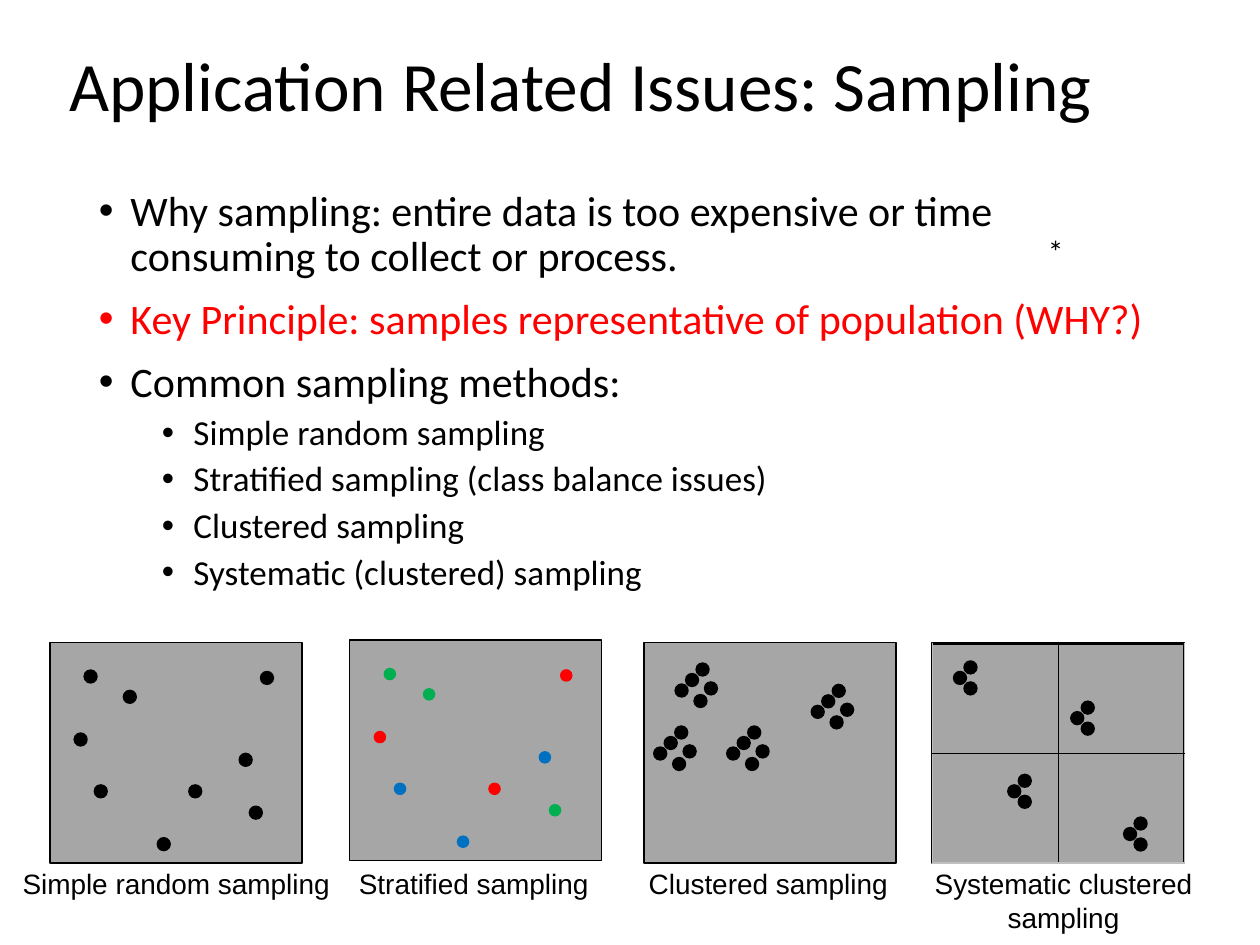
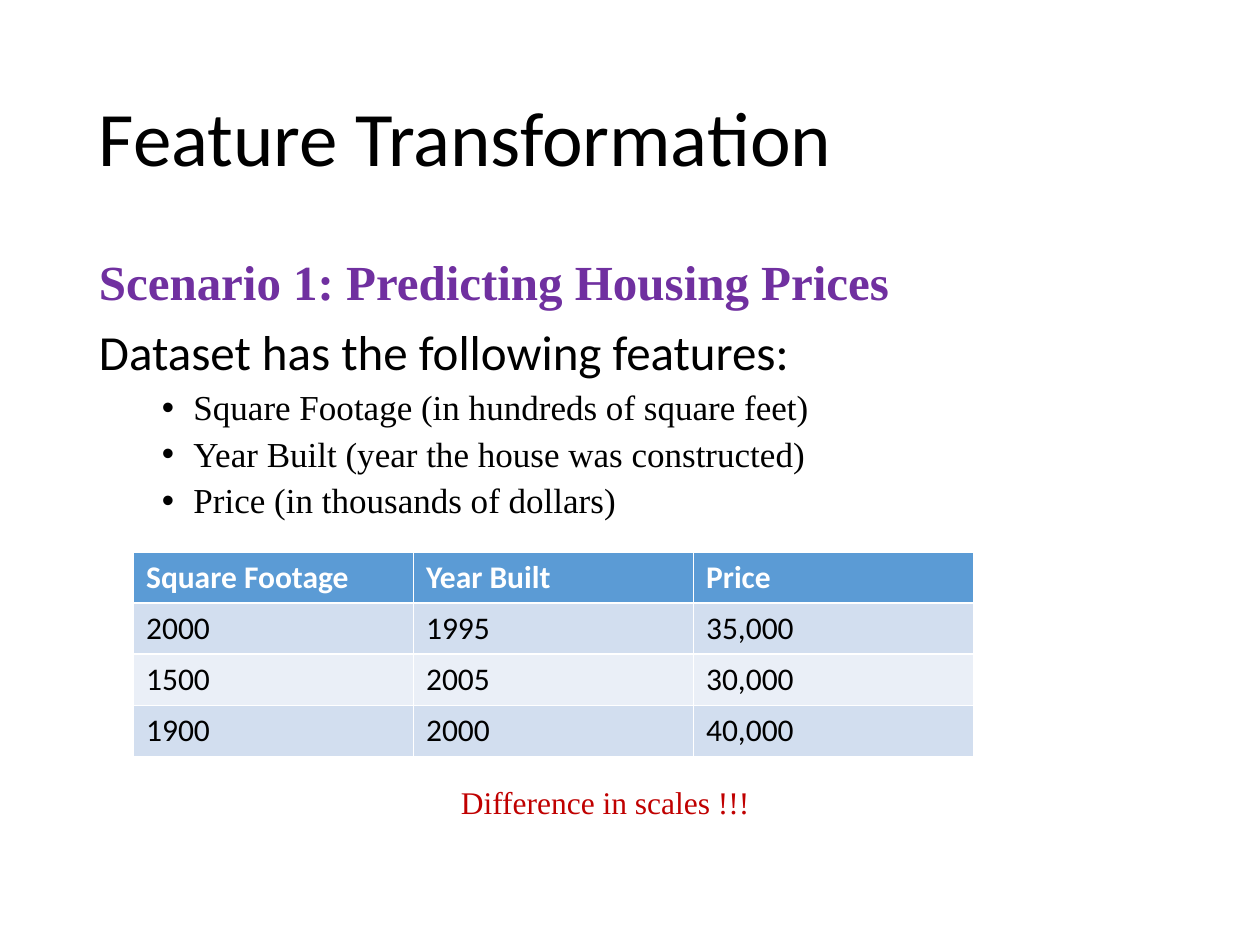
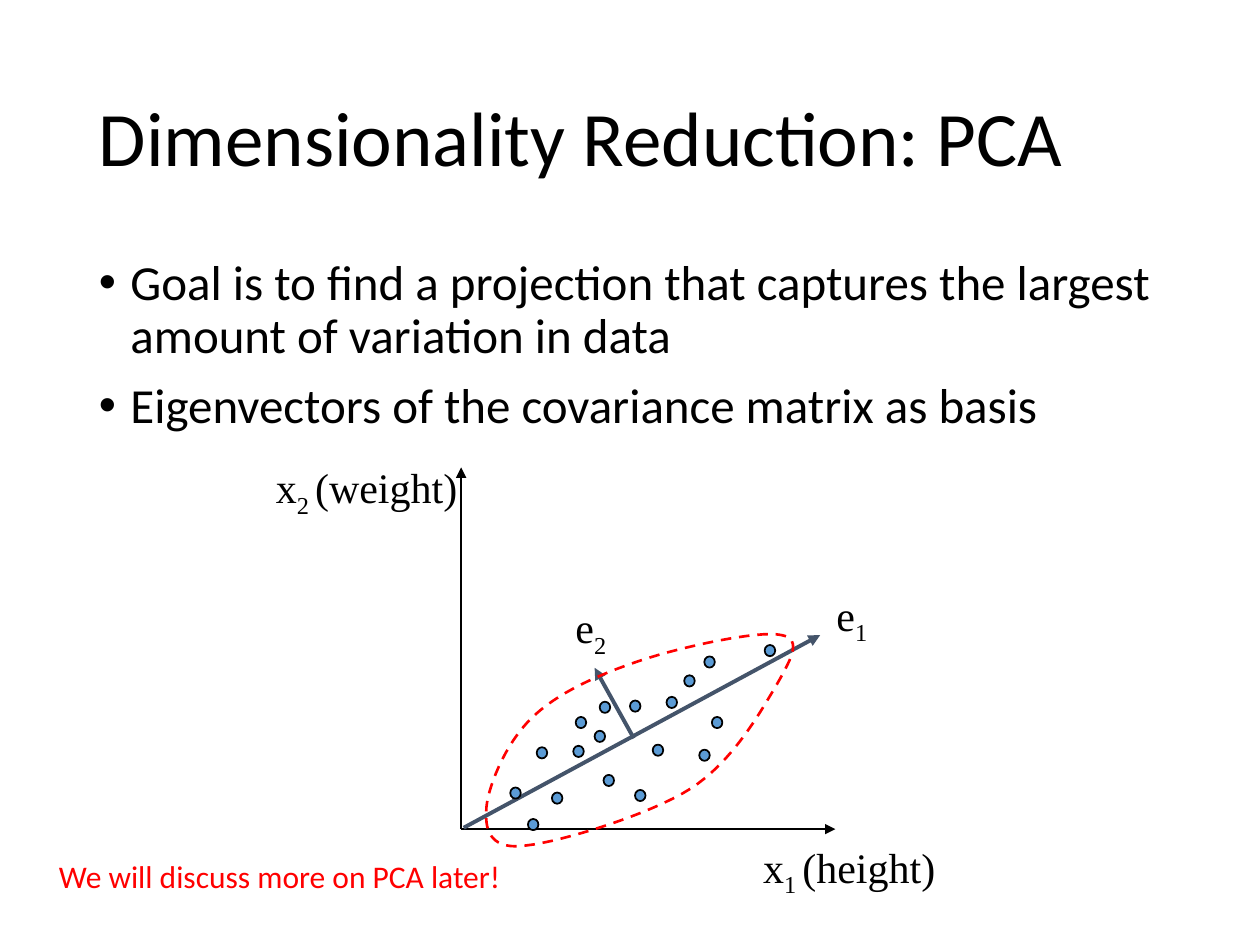
from lxml.etree import SubElement
from pptx import Presentation
from pptx.dml.color import RGBColor as RGB
from pptx.enum.dml import MSO_LINE_DASH_STYLE as DASH
from pptx.enum.shapes import MSO_CONNECTOR as LINK, MSO_SHAPE as SHAPE
from pptx.enum.text import MSO_ANCHOR as ANCHOR, PP_ALIGN as ALIGN
from pptx.oxml.ns import qn
from pptx.util import Pt

HUE = {
    "black": "000000", "white": "FFFFFF", "red": "FF0000", "green": "00B050",
    "blue": "0070C0", "gray": "A6A6A6", "pale": "BFBFBF", "purple": "7030A0",
    "dark": "C00000", "slate": "44546A", "sky": "5B9BD5",
    "band": "D2DEEF", "light": "EAEFF7",
}
SANS, SERIF, ARIAL = "Calibri", "Times New Roman", "Arial"
TITLE = (49.5, 28.8, 621, 104.4)
BODY = (49.5, 144, 621, 342.7)


def write(slide, area, rows, wrap=True, mid=False, align=ALIGN.LEFT, lead=1.0):
    """Add a text box; a row is text, size, font, colour, bold and bullet indent."""
    box = slide.shapes.add_textbox(*map(Pt, area))
    frame = box.text_frame
    frame.word_wrap = wrap
    frame.vertical_anchor = ANCHOR.MIDDLE if mid else ANCHOR.TOP
    frame.text = "\n".join(row[0] for row in rows)
    for i, (para, row) in enumerate(zip(frame.paragraphs, rows)):
        text, size, font, hue, bold, dent = row
        para.alignment = align
        para.line_spacing = lead
        if i:
            para.space_before = Pt(5 if dent > 18 else 10)
        if dent:
            para.level = int(dent > 18)
            props = para._p.get_or_add_pPr()
            props.set("marL", str(Pt(dent)))
            props.set("indent", str(-Pt(18)))
            SubElement(props, qn("a:buFont")).set("typeface", ARIAL)
            SubElement(props, qn("a:buChar")).set("char", "•")
        for run in para.runs:
            run.font.size = Pt(size)
            run.font.name = font
            run.font.bold = bold
            run.font.color.rgb = RGB.from_string(HUE[hue])
    return frame


def draw(slide, kind, area, fill, line="black"):
    """Add a filled preset shape, outlined unless line is None."""
    shape = slide.shapes.add_shape(kind, *map(Pt, area))
    shape.shadow.inherit = False
    shape.fill.solid()
    shape.fill.fore_color.rgb = RGB.from_string(HUE[fill])
    if line:
        shape.line.width = Pt(1)
        shape.line.color.rgb = RGB.from_string(HUE[line])
    else:
        shape.line.fill.background()


deck = Presentation()
deck.slide_width, deck.slide_height = Pt(720), Pt(540)
blank = deck.slide_layouts[6]

# Slide 1: sampling
slide = deck.slides.add_slide(blank)
write(slide, (32.4, 18, 655.2, 66),
      [("Application Related Issues: Sampling", 39.6, SANS, "black", False, 0)],
      mid=True, lead=0.9)
points = [
    ("Why sampling: entire data is too expensive or time consuming to collect or process.",
     24, "black", 18),
    ("Key Principle: samples representative of population (WHY?)", 24, "red", 18),
    ("Common sampling methods:", 24, "black", 18),
    ("Simple random sampling", 20, "black", 54),
    ("Stratified sampling (class balance issues)", 20, "black", 54),
    ("Clustered sampling", 20, "black", 54),
    ("Systematic (clustered) sampling", 20, "black", 54),
]
write(slide, (49.5, 105.1, 621, 342.7),
      [(text, size, SANS, hue, False, dent) for text, size, hue, dent in points], lead=0.9)
write(slide, (591.8, 128.9, 23.8, 28.8), [("*", 18, SANS, "black", False, 0)], wrap=False)

panels = [
    (28.8, 367.2, "Simple random sampling", 5.8, 192.2),
    (199.8, 365.8, "Stratified sampling", 198, 147.6),
    (367.9, 367.2, "Clustered sampling", 363.6, 152.6),
    (532.8, 367.2, "Systematic clustered sampling", 525.6, 164.2),
]
for x, y, name, left, width in panels:
    last = x == panels[-1][0]
    draw(slide, SHAPE.RECTANGLE, (x, y, 144, 126), "gray")
    write(slide, (left, 491.8, width, 26.6), [(name, 16, ARIAL, "black", False, 0)],
          wrap=last, align=ALIGN.CENTER if last else ALIGN.LEFT)

grid = slide.shapes.add_table(2, 2, Pt(532.8), Pt(367.9), Pt(144), Pt(125.3)).table
for r in range(2):
    for c in range(2):
        cell = grid.cell(r, c)
        props = cell._tc.get_or_add_tcPr()
        edges = {"lnL": c == 1, "lnR": c == 0, "lnT": True, "lnB": r == 0}
        for tag, strong in edges.items():
            edge = SubElement(props, qn(f"a:{tag}"), w=str(Pt(1)))
            paint = SubElement(edge, qn("a:solidFill"))
            SubElement(paint, qn("a:srgbClr"), val=HUE["black" if strong else "pale"])
        cell.fill.background()

spread = [(19.4, 15.8), (41.8, 27.4), (13.7, 51.8), (25.2, 81.4), (108, 63.4),
          (79.2, 81.4), (113.8, 93.6), (120.2, 16.6), (61.2, 111.6)]
strata = ["green", "green", "red", "blue", "blue", "red", "green", "red", "blue"]
dots = [(28.8 + x, 367.2 + y, "black", "black") for x, y in spread]
dots += [(199.8 + x, 365.8 + y, hue, None) for (x, y), hue in zip(spread, strata)]
five = [(0, 0), (6, -6), (16.8, -1.2), (12, -12), (10.8, 6)]
three = [(0, 0), (6, -6), (6, 6)]
groups = [
    (five, [(385.9, 391), (463.7, 403.2), (415.4, 427), (373.7, 427)]),
    (three, [(642.2, 473), (545, 383.8), (612, 406.8), (576, 448.6)]),
]
for form, spots in groups:
    dots += [(x + dx, y + dy, "black", "black") for x, y in spots for dx, dy in form]
for x, y, hue, line in dots:
    draw(slide, SHAPE.OVAL, (x, y, 7.2, 7.2), hue, line)

# Slide 2: feature transformation
slide = deck.slides.add_slide(blank)
write(slide, TITLE, [("Feature Transformation", 44, SANS, "black", False, 0)],
      mid=True, lead=0.9)
write(slide, BODY, [
    ("Scenario 1: Predicting Housing Prices", 28, SERIF, "purple", True, 0),
    ("Dataset has the following features:", 28, SANS, "black", False, 0),
    ("Square Footage (in hundreds of square feet)", 20, SERIF, "black", False, 54),
    ("Year Built (year the house was constructed)", 20, SERIF, "black", False, 54),
    ("Price (in thousands of dollars)", 20, SERIF, "black", False, 54),
], lead=0.9)
homes = [
    ("Square Footage", "Year Built", "Price"),
    ("2000", "1995", "35,000"),
    ("1500", "2005", "30,000"),
    ("1900", "2000", "40,000"),
]
table = slide.shapes.add_table(4, 3, Pt(76.3), Pt(315.4), Pt(480), Pt(116.8)).table
for r, home in enumerate(homes):
    for c, text in enumerate(home):
        cell = table.cell(r, c)
        cell.text = text
        cell.vertical_anchor = ANCHOR.MIDDLE if r else ANCHOR.TOP
        cell.fill.solid()
        fill = ("band" if r % 2 else "light") if r else "sky"
        cell.fill.fore_color.rgb = RGB.from_string(HUE[fill])
        font = cell.text_frame.paragraphs[0].runs[0].font
        font.size, font.name, font.bold = Pt(18), SANS, r == 0
        font.color.rgb = RGB.from_string(HUE["black" if r else "white"])
write(slide, (256.3, 444.2, 360, 28.8),
      [("Difference in scales !!!", 18, SERIF, "dark", False, 0)])

# Slide 3: principal components
slide = deck.slides.add_slide(blank)
write(slide, TITLE, [("Dimensionality Reduction: PCA", 44, SANS, "black", False, 0)],
      mid=True, lead=0.9)
write(slide, BODY, [
    ("Goal is to find a projection that captures the largest amount of variation in data",
     28, SANS, "black", False, 18),
    ("Eigenvectors of the covariance matrix as basis", 28, SANS, "black", False, 18),
], lead=0.9)

arrows = [
    (263.5, 473.8, 263.5, 267.1, "black", 1),
    (263.5, 473.8, 477.4, 473.8, "black", 1),
    (265, 473, 468.7, 362.9, "slate", 2.25),
    (362.2, 421.9, 339.8, 381.6, "slate", 2.25),
]
for *ends, hue, width in arrows:
    arrow = slide.shapes.add_connector(LINK.STRAIGHT, *map(Pt, ends))
    arrow.line.color.rgb = RGB.from_string(HUE[hue])
    arrow.line.width = Pt(width)
    SubElement(arrow.line._get_or_add_ln(), qn("a:tailEnd")).set("type", "triangle")
    SubElement(arrow._element.spPr, qn("a:effectLst"))

data = [
    (306.7, 427), (329, 409.7), (291.6, 450), (339.8, 417.6), (327.6, 426.2), (373, 425.5),
    (362.9, 451.4), (344.9, 442.8), (360, 400.3), (406.8, 409.7), (437, 368.6),
    (315.4, 452.9), (380.9, 398.2), (402.5, 375.1), (342.7, 401), (391, 385.9),
    (399.6, 428.4), (301.7, 468),
]
for x, y in data:
    draw(slide, SHAPE.OVAL, (x, y, 6, 6.4), "sky")

# Each curve: two control points and an end point
start = (277.9, 463.7)
curves = [
    ((277.9, 451.4), (288.7, 424.8), (303.8, 410.4)),
    ((318.2, 396), (342.7, 385.2), (366.5, 377.3)),
    ((390.2, 369.4), (434.2, 360), (446.4, 362.9)),
    ((459.4, 365), (451.4, 378), (442.8, 393.1)),
    ((434.2, 407.5), (418.3, 435.6), (394.6, 450.7)),
    ((370.8, 465.8), (320.4, 481), (301, 483.1)),
    ((281.5, 486), (277.2, 475.9), start),
]
steps = 16
trace = []
here = start
for one, two, end in curves:
    for t in (n / steps for n in range(1, steps + 1)):
        u = 1 - t
        trace.append(tuple(
            Pt(u**3 * a + 3 * u * u * t * b + 3 * u * t * t * c + t**3 * d)
            for a, b, c, d in zip(here, one, two, end)))
    here = end
pen = slide.shapes.build_freeform(*map(Pt, start))
pen.add_line_segments(trace, close=True)
cloud = pen.convert_to_shape()
cloud.shadow.inherit = False
cloud.fill.background()
cloud.line.color.rgb = RGB.from_string(HUE["red"])
cloud.line.width = Pt(1.5)
cloud.line.dash_style = DASH.DASH

labels = [
    ("x", "2 ", "(weight)", 149, 262.1, 121),
    ("x", "1 ", "(height)", 427.7, 478.8, 115.2),
    ("e", "1", "", 470.2, 334.8, 33.1),
    ("e", "2", "", 321.1, 342, 33.1),
]
for base, sub, rest, x, y, width in labels:
    frame = write(slide, (x, y, width, 36.4), [(base, 24, SERIF, "black", False, 0)],
                  wrap=False, mid=True, align=ALIGN.CENTER)
    para = frame.paragraphs[0]
    for text in filter(None, (sub, rest)):
        run = para.add_run()
        run.text = text
        run.font.size, run.font.name = Pt(24), SERIF
        run.font.color.rgb = RGB.from_string(HUE["black"])
        if text == sub:
            run._r.get_or_add_rPr().set("baseline", "-25000")
write(slide, (26.6, 486, 270, 28.8),
      [("We will discuss more on PCA later!", 18, SANS, "red", False, 0)], wrap=False)

deck.save("out.pptx")
